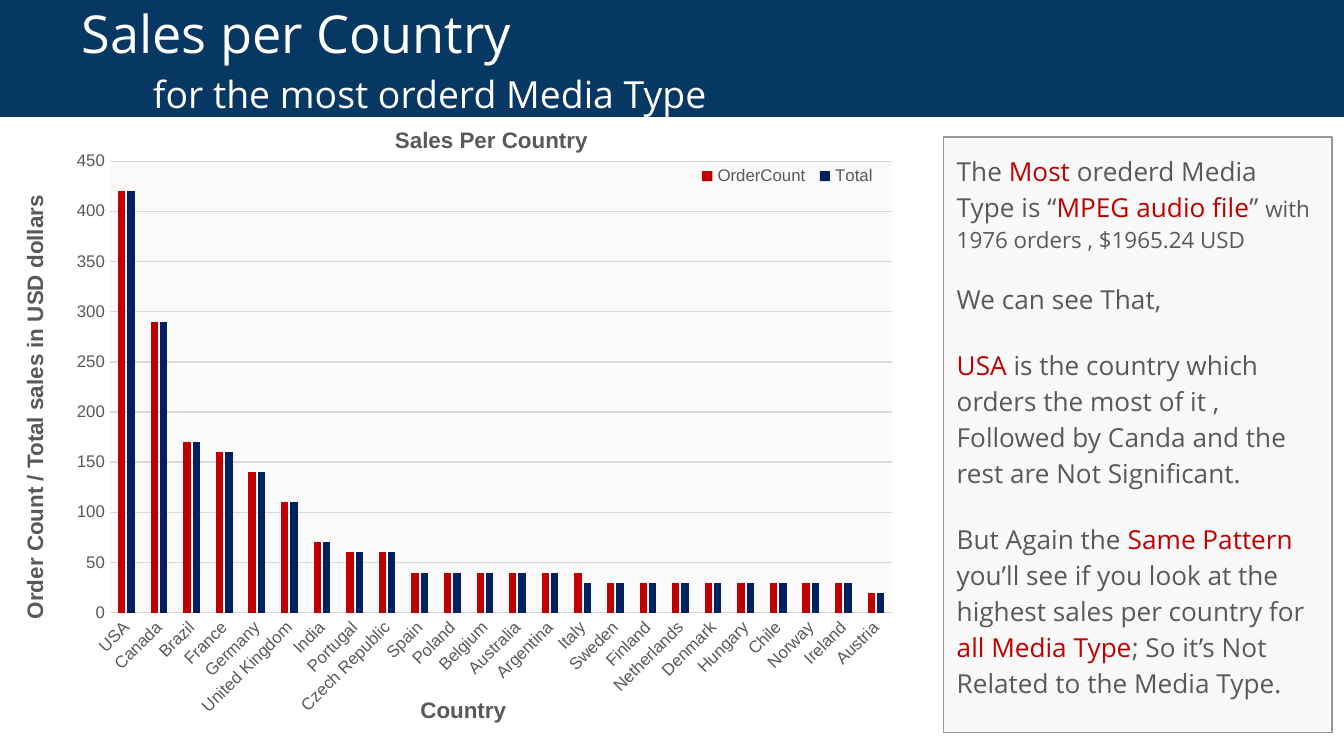
from lxml import etree
from pptx import Presentation
from pptx.chart import data
from pptx.dml import color
from pptx.enum import chart as ce, shapes, text
from pptx.oxml import ns
from pptx.util import Inches, Pt

HUES = {"navy": "073763", "white": "FFFFFF", "gray": "595959", "red": "C00000",
        "blue": "002060", "panel": "EEEEEE", "edge": "999999", "grid": "D9D9D9",
        "plot": "F2F2F2"}
LANDS = ["USA", "Canada", "Brazil", "France", "Germany", "United Kingdom", "India",
         "Portugal", "Czech Republic", "Spain", "Poland", "Belgium", "Australia",
         "Argentina", "Italy", "Sweden", "Finland", "Netherlands", "Denmark",
         "Hungary", "Chile", "Norway", "Ireland", "Austria"]
TOP = [420, 290, 170, 160, 140, 110, 70, 60, 60]
SALES = [("OrderCount", "red", TOP + [40] * 6 + [30] * 8 + [20]),
         ("Total", "blue", TOP + [40] * 5 + [30] * 9 + [20])]
NOTES = [
    (1.15, [("The ", "gray", 14), ("Most", "red", 14),
            (" orederd Media Type is “", "gray", 14), ("MPEG audio file", "red", 14),
            ("” ", "gray", 14), ("with 1976 orders , $1965.24 USD", "gray", 12)]),
    (1.0, [("We can see That,", "gray", 14)]),
    (1.15, [("USA", "red", 14), (" is the country which orders the most of it , "
            "Followed by Canda and the rest are Not Significant.", "gray", 14)]),
    (1.15, [("But Again the ", "gray", 14), ("Same Pattern ", "red", 14),
            ("you’ll see if you look at the highest sales per country for ", "gray", 14),
            ("all Media Type", "red", 14),
            ("; So it’s Not Related to the Media Type.", "gray", 14)])]


def rgb(hue):
    """Return the named colour."""
    return color.RGBColor.from_string(HUES[hue])


def put(item, **vals):
    """Set each given attribute on item."""
    for key, val in vals.items():
        setattr(item, key, val)


def style(font, size, hue, name="Arial", bold=False):
    """Give a font its size, colour and face."""
    put(font, size=Pt(size), name=name, bold=bold)
    font.color.rgb = rgb(hue)


def paint(fill, hue, alpha=None):
    """Fill with a solid colour, alpha in percent."""
    fill.solid()
    fill.fore_color.rgb = rgb(hue)
    if alpha:
        node = fill._xPr.find(".//" + ns.qn("a:srgbClr"))
        etree.SubElement(node, ns.qn("a:alpha"), val=str(alpha * 1000))


def panel(slide, box, hue, alpha=None, edge=None):
    """Add a rectangle and return its text frame."""
    shape = slide.shapes.add_shape(shapes.MSO_SHAPE.RECTANGLE, *map(Inches, box))
    shape.shadow.inherit = False
    paint(shape.fill, hue, alpha)
    if edge:
        paint(shape.line.fill, edge)
        shape.line.width = Pt(0.75)
    else:
        shape.line.fill.background()
    frame = shape.text_frame
    sides = ("left", "top", "right", "bottom")
    put(frame, word_wrap=True, **{"margin_" + s: Inches(0.1) for s in sides})
    return frame


def write(para, runs, **form):
    """Fill a left-aligned paragraph with coloured runs."""
    put(para, alignment=text.PP_ALIGN.LEFT, **form)
    for words, hue, size in runs:
        run = para.add_run()
        run.text = words
        style(run.font, size, hue, "Open Sans")


def header(slide, box):
    """Draw the title band with its two indented lines."""
    frame = panel(slide, box, "navy")
    frame.vertical_anchor = text.MSO_ANCHOR.MIDDLE
    lines = [("Sales per Country", 28, 0.51, 0),
             ("for the most orderd Media Type", 20, 1.04, 4)]
    for i, (words, size, left, gap) in enumerate(lines):
        para = frame.add_paragraph() if i else frame.paragraphs[0]
        write(para, [(words, "white", size)], space_before=Pt(gap))
        para._p.get_or_add_pPr().set("marL", str(Inches(left)))


def notes(slide, box):
    """Draw the side panel of findings."""
    frame = panel(slide, box, "panel", 33, "edge")
    frame.vertical_anchor = text.MSO_ANCHOR.TOP
    for i, (space, runs) in enumerate(NOTES):
        para = frame.add_paragraph() if i else frame.paragraphs[0]
        write(para, runs, line_spacing=space, space_after=Pt(16))


def label(slide, words, box, turn=0):
    """Add a bold chart label."""
    shape = slide.shapes.add_textbox(*map(Inches, box))
    shape.rotation = turn
    shape.text_frame.word_wrap = True
    run = shape.text_frame.paragraphs[0].add_run()
    run.text = words
    style(run.font, 12, "gray", bold=True)


def place(spot, size, inner=False):
    """Build a chart layout from a spot in inches within the chart size."""
    node = etree.Element(ns.qn("c:layout"))
    man = etree.SubElement(node, ns.qn("c:manualLayout"))
    keys = [("layoutTarget", "inner")] if inner else []
    parts = [part / whole for part, whole in zip(spot, size * 2)]
    keys += [("xMode", "edge"), ("yMode", "edge"), *zip("xywh", parts)]
    for key, val in keys:
        etree.SubElement(man, ns.qn("c:" + key), val=str(val))
    return node


def graph(slide, box):
    """Draw the column chart and its labels."""
    x, y, *size = box
    info = data.CategoryChartData()
    info.categories = LANDS
    for name, _, vals in SALES:
        info.add_series(name, vals)
    chart = slide.shapes.add_chart(ce.XL_CHART_TYPE.COLUMN_CLUSTERED,
                                   *map(Inches, box), info).chart
    put(chart, has_title=False, has_legend=True)
    put(chart.font, size=Pt(10), name="Arial")
    plot = chart.plots[0]
    put(plot, gap_width=219, overlap=-27, vary_by_categories=False)
    for bars, (_, hue, _) in zip(plot.series, SALES):
        paint(bars.format.fill, hue)

    cat, val = chart.category_axis, chart.value_axis
    for axis in (cat, val):
        put(axis, major_tick_mark=ce.XL_TICK_MARK.NONE,
            minor_tick_mark=ce.XL_TICK_MARK.NONE)
        style(axis.tick_labels.font, 9, "gray")
    put(val, minimum_scale=0, maximum_scale=450, major_unit=50)
    val.format.line.fill.background()
    for line in (cat.format.line, val.major_gridlines.format.line):
        paint(line.fill, "grid")
        line.width = Pt(0.75)
    cat._element.find(".//" + ns.qn("a:bodyPr")).set("rot", "-2700000")

    key = chart.legend
    put(key, position=ce.XL_LEGEND_POSITION.TOP, include_in_layout=False)
    style(key.font, 9, "gray")
    spot = place((4.75, 0.18, 1.4, 0.22), size)
    key._element.find(ns.qn("c:legendPos")).addnext(spot)

    area = chart._chartSpace.find(".//" + ns.qn("c:plotArea"))
    for old in area.findall(ns.qn("c:layout")):
        area.remove(old)
    area.insert(0, place((0.41, 0.18, 5.82, 3.36), size, True))
    skin = etree.SubElement(area, ns.qn("c:spPr"))
    solid = etree.SubElement(skin, ns.qn("a:solidFill"))
    tint = etree.SubElement(solid, ns.qn("a:srgbClr"), val=HUES["plot"])
    etree.SubElement(tint, ns.qn("a:alpha"), val="36000")

    label(slide, "Country", (x + 2.62, y + 4.11, 1.06, 0.3))
    label(slide, "Order Count / Total sales in USD dollars",
          (x - 1.91, y + 1.78, 3.51, 0.3), 270)
    label(slide, "Sales Per Country", (x + 2.43, y - 0.13, 1.68, 0.3))


deck = Presentation()
wide = Inches(10)
put(deck, slide_width=wide, slide_height=wide * 9 // 16)
page = deck.slides.add_slide(deck.slide_layouts[6])
notes(page, (7.02, 1.02, 2.89, 4.43))
header(page, (0, 0, 10, 0.87))
graph(page, (0.41, 1.02, 6.38, 4.43))
deck.save("out.pptx")
